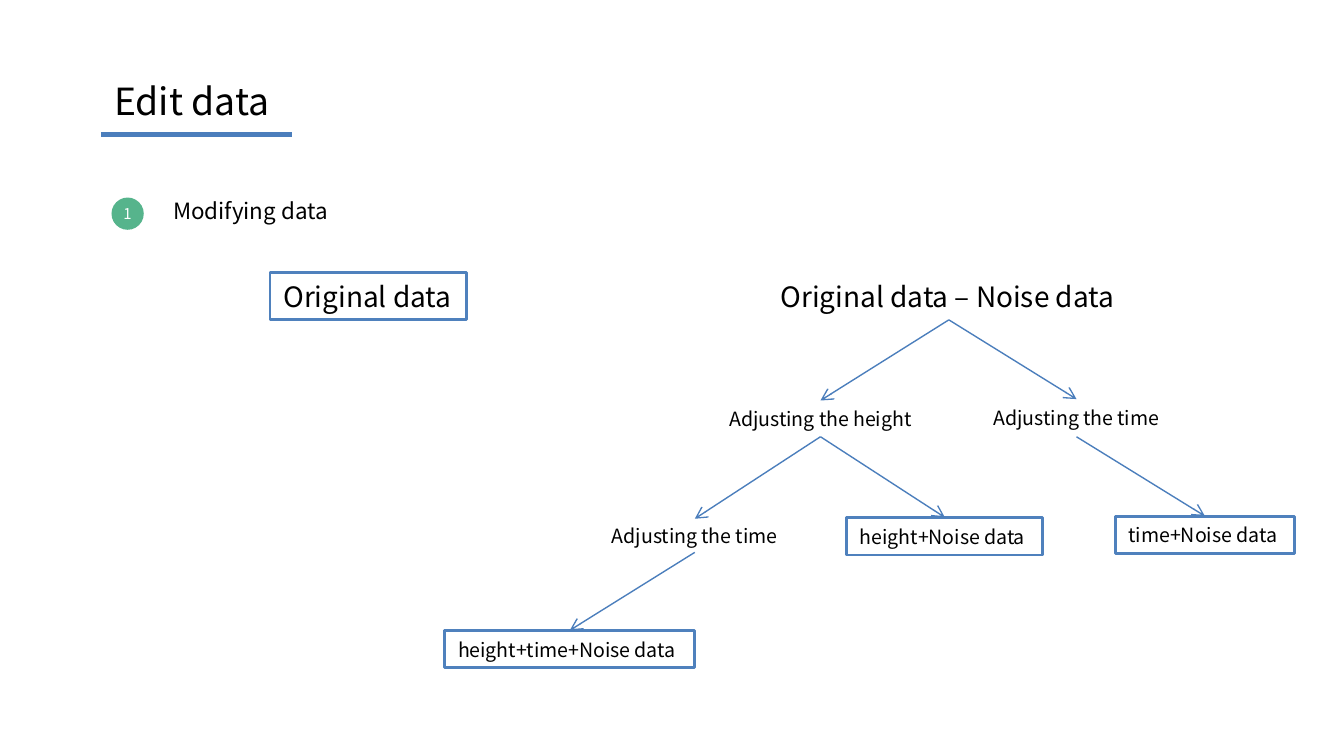
from lxml.etree import SubElement
from pptx import Presentation
from pptx.dml.color import RGBColor
from pptx.enum.shapes import MSO_CONNECTOR as CONN, MSO_SHAPE as SHAPE
from pptx.enum.text import MSO_ANCHOR as ANCHOR, PP_ALIGN as ALIGN
from pptx.oxml.ns import qn
from pptx.util import Inches, Pt

FONT = "Noto Sans CJK KR"
BLACK, WHITE, GREEN = "000000", "FFFFFF", "56B48C"
BORDER, LINE = "4F81BD", "4B7EBC"
TOP, BOTTOM = 0, 2


def rgb(value):
    return RGBColor.from_string(value)


def place(s, box):
    s.left, s.top, s.width, s.height = (Inches(v) for v in box)


def write(s, text, size, color=BLACK, align=ALIGN.LEFT, margin=0.1):
    tf = s.text_frame
    tf.word_wrap = True
    tf.vertical_anchor = ANCHOR.MIDDLE
    tf.margin_top = tf.margin_bottom = 0
    tf.margin_left = Inches(margin)
    # Left-aligned text may run up to the right edge
    tf.margin_right = 0 if align == ALIGN.LEFT else Inches(margin)
    p = tf.paragraphs[0]
    p.alignment = align
    r = p.add_run()
    r.text = text
    r.font.name, r.font.size = FONT, Pt(size)
    r.font.color.rgb = rgb(color)


def add_label(slide, box, text, size, align=ALIGN.LEFT):
    s = slide.shapes.add_textbox(*(Inches(v) for v in box))
    write(s, text, size, align=align)
    return s


def add_framed(slide, box, text, size):
    s = slide.shapes.add_shape(SHAPE.RECTANGLE, *(Inches(v) for v in box))
    s.shadow.inherit = False
    s.fill.background()
    s.line.color.rgb, s.line.width = rgb(BORDER), Pt(1.5)
    write(s, text, size)
    return s


def add_line(slide, x1, y1, x2, y2, width):
    s = slide.shapes.add_connector(CONN.STRAIGHT, *(Inches(v) for v in (x1, y1, x2, y2)))
    s.line.color.rgb, s.line.width = rgb(LINE), Pt(width)
    SubElement(s._element.spPr, qn("a:effectLst"))
    return s


def add_arrow(slide, parent, child):
    s = add_line(slide, 0, 0, 1, 1, 0.75)
    s.begin_connect(parent, BOTTOM)
    s.end_connect(child, TOP)
    SubElement(s.line._get_or_add_ln(), qn("a:tailEnd"), type="arrow")


def add_header(slide, x, y, w, h):
    # Title with a rule under it
    s = slide.shapes.title
    place(s, (x, y, w, h))
    write(s, "Edit data", 20)
    add_line(slide, x, y + h + 0.04, x + w, y + h + 0.04, 3)


def add_heading(slide, x, y, w, h):
    # Numbered disc, then the section name
    d = 0.24
    s = slide.shapes.add_shape(SHAPE.OVAL, *(Inches(v) for v in (x, y + 0.05, d, d)))
    s.shadow.inherit = False
    s.fill.solid()
    s.fill.fore_color.rgb = rgb(GREEN)
    s.line.fill.background()
    write(s, "1", 8, WHITE, ALIGN.CENTER, margin=0)
    add_label(slide, (x + 0.36, y, w - 0.36, h), "Modifying data", 12)


def add_tree(slide, x, y):
    def label(dx, dy, w, h, text):
        return add_label(slide, (x + dx, y + dy, w, h), text, 10.5, ALIGN.CENTER)

    def leaf(dx, dy, w, text):
        return add_framed(slide, (x + dx, y + dy, w, 0.28), text, 10.5)

    # Nodes, level by level
    root = add_label(slide, (x + 2.4, y, 2.7, 0.35), "Original data – Noise data", 15)
    height = label(1.96, 0.95, 1.67, 0.27, "Adjusting the height")
    time = label(3.96, 0.94, 1.48, 0.28, "Adjusting the time")
    height_time = label(1.12, 1.83, 1.48, 0.25, "Adjusting the time")
    height_leaf = leaf(2.99, 1.82, 1.46, "height+Noise data")
    time_leaf = leaf(4.99, 1.81, 1.33, "time+Noise data")
    both_leaf = leaf(0, 2.66, 1.86, "height+time+Noise data")

    # Branches
    for parent, child in ((root, height), (root, time),
                          (height, height_time), (height, height_leaf),
                          (time, time_leaf), (height_time, both_leaf)):
        add_arrow(slide, parent, child)


def main():
    prs = Presentation()
    # Widescreen, 16:9
    prs.slide_width = Inches(10)
    prs.slide_height = prs.slide_width * 9 // 16
    slide = prs.slides.add_slide(prs.slide_layouts[5])
    add_header(slide, 0.75, 0.53, 1.42, 0.43)
    add_heading(slide, 0.83, 1.42, 1.74, 0.3)
    add_framed(slide, (2.01, 2.03, 1.46, 0.35), "Original data", 15)
    add_tree(slide, 3.31, 2.03)
    prs.save("out.pptx")


if __name__ == "__main__":
    main()
